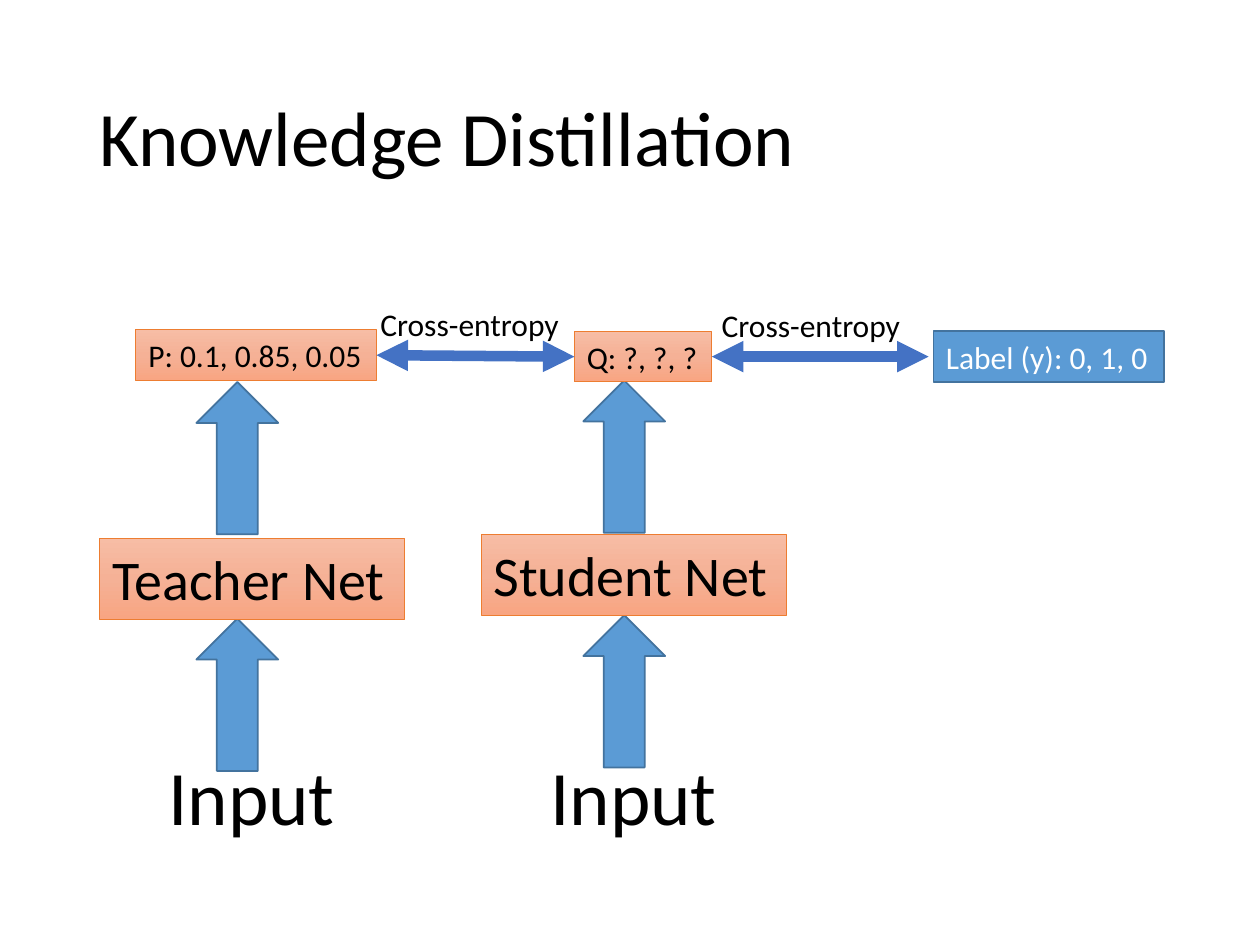
from copy import deepcopy

from lxml.etree import SubElement
from pptx import Presentation
from pptx.dml.color import RGBColor
from pptx.enum.shapes import MSO_CONNECTOR, MSO_SHAPE
from pptx.enum.text import MSO_ANCHOR, MSO_AUTO_SIZE, PP_ALIGN
from pptx.oxml.ns import qn
from pptx.util import Cm, Pt

BLACK = RGBColor(0x00, 0x00, 0x00)
WHITE = RGBColor(0xFF, 0xFF, 0xFF)
BLUE = RGBColor(0x5B, 0x9B, 0xD5)
BLUE_EDGE = RGBColor(0x43, 0x73, 0x9E)
LINK_BLUE = RGBColor(0x44, 0x72, 0xC4)
ORANGE = RGBColor(0xED, 0x7D, 0x31)
PEACH_STOPS = [
    (0, RGBColor(0xF7, 0xBD, 0xA5)),
    (0.5, RGBColor(0xF5, 0xB1, 0x96)),
    (1, RGBColor(0xF8, 0xA5, 0x82)),
]

deck = Presentation()
deck.slide_width, deck.slide_height = Cm(25.4), Cm(19.05)
page = deck.slides.add_slide(deck.slide_layouts[5])


def write(box, text, size, color=BLACK, align=PP_ALIGN.LEFT, wrap=False,
          fit=MSO_AUTO_SIZE.SHAPE_TO_FIT_TEXT, anchor=MSO_ANCHOR.TOP):
    frame_format = {"word_wrap": wrap, "auto_size": fit, "vertical_anchor": anchor}
    for name, value in frame_format.items():
        setattr(box.text_frame, name, value)
    para = box.text_frame.paragraphs[0]
    para.alignment = align
    span = para.add_run()
    span.text = text
    for name, value in {"name": "Calibri", "size": Pt(size), "bold": False}.items():
        setattr(span.font, name, value)
    span.font.color.rgb = color


def add_block(kind, left, top, width, height, peach=False):
    block = page.shapes.add_shape(kind, Cm(left), Cm(top), Cm(width), Cm(height))
    block.shadow.inherit = False
    block.line.color.rgb = ORANGE if peach else BLUE_EDGE
    block.line.width = Pt(0.5 if peach else 1)
    if peach:
        block.fill.gradient()
        block.fill.gradient_angle = 270
        stop_list = block.fill.gradient_stops
        first = block._element.spPr.find(".//" + qn("a:gs"))
        first.addnext(deepcopy(first))
        stop_list = block.fill.gradient_stops
        for stop, (position, color) in zip(stop_list, PEACH_STOPS):
            stop.position = position
            stop.color.rgb = color
    else:
        block.fill.solid()
        block.fill.fore_color.rgb = BLUE
    return block


title = page.shapes.title
title_place = {"left": Cm(1.75), "top": Cm(1.02), "width": Cm(21.9), "height": Cm(3.68)}
for name, value in title_place.items():
    setattr(title, name, value)
write(title, "Knowledge Distillation", 44, wrap=True,
      fit=MSO_AUTO_SIZE.NONE, anchor=MSO_ANCHOR.MIDDLE)
title.text_frame.paragraphs[0].line_spacing = 0.9

networks = [
    ("Teacher Net", 2.01, 10.85, 3.12, 3.25, (8.41, 13.18)),
    ("Student Net", 9.7, 10.77, 10.82, 11.05, (8.38, 13.11)),
]
for label, net_left, net_top, input_left, arrow_left, arrow_tops in networks:
    input_box = page.shapes.add_textbox(Cm(input_left), Cm(14.96), Cm(3.91), Cm(2.13))
    write(input_box, "Input", 44, align=PP_ALIGN.CENTER)
    for arrow_top in arrow_tops:
        arrow = add_block(MSO_SHAPE.RIGHT_ARROW, arrow_left, arrow_top, 3.07, 1.65)
        arrow.rotation = 270
    net = add_block(MSO_SHAPE.RECTANGLE, net_left, net_top, 6.15, 1.63, peach=True)
    write(net, label, 32, wrap=True)

outputs = []
for text, left, top, width, peach in [
    ("P: 0.1, 0.85, 0.05", 2.74, 6.65, 4.85, True),
    ("Q: ?, ?, ?", 11.58, 6.68, 2.77, True),
    ("Label (y): 0, 1, 0", 18.82, 6.68, 4.65, False),
]:
    output = add_block(MSO_SHAPE.RECTANGLE, left, top, width, 1.02, peach)
    write(output, text, 18, BLACK if peach else WHITE)
    outputs.append(output)
teacher_output, student_output, true_label = outputs

for source, target, end_left, caption_left, caption_top in [
    (teacher_output, student_output, 11.58, 7.42, 6.02),
    (student_output, None, 18.72, 14.3, 6.05),
]:
    link = page.shapes.add_connector(
        MSO_CONNECTOR.STRAIGHT, Cm(7.59), Cm(7.19), Cm(end_left), Cm(7.19))
    link.begin_connect(source, 3)
    if target:
        link.end_connect(target, 1)
    link.line.color.rgb = LINK_BLUE
    link.line.width = Pt(6)
    for end in ("a:headEnd", "a:tailEnd"):
        SubElement(link.line._get_or_add_ln(), qn(end), type="triangle")
    SubElement(link._element.spPr, qn("a:effectLst"))
    caption = page.shapes.add_textbox(Cm(caption_left), Cm(caption_top), Cm(4.14), Cm(1.02))
    write(caption, "Cross-entropy", 18)

deck.save("out.pptx")
